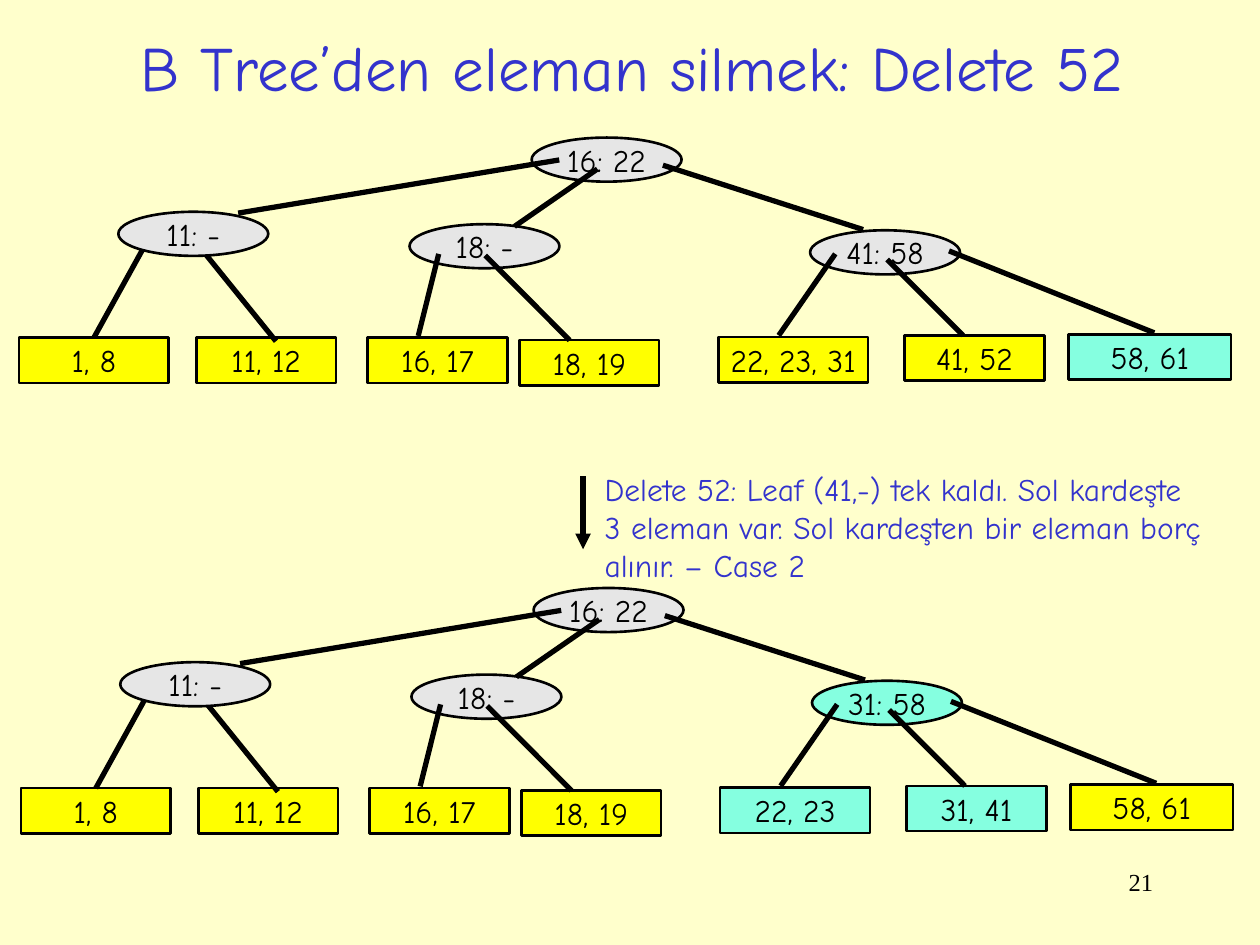
from typing import NamedTuple

import pptx
import pptx.dml.color
import pptx.enum.shapes
import pptx.enum.text
import pptx.oxml
import pptx.oxml.ns
import pptx.util

Pt = pptx.util.Pt
RGBColor = pptx.dml.color.RGBColor
SHAPE = pptx.enum.shapes.MSO_SHAPE
ALIGN = pptx.enum.text.PP_ALIGN
ANCHOR = pptx.enum.text.MSO_ANCHOR
FIT = pptx.enum.text.MSO_AUTO_SIZE

CREAM = RGBColor(0xFF, 0xFF, 0xCC)
BLUE = RGBColor(0x33, 0x33, 0xCC)
BLACK = RGBColor(0, 0, 0)
GRAY = RGBColor(0xE6, 0xE6, 0xE6)
YELLOW = RGBColor(0xFF, 0xFF, 0)
AQUA = RGBColor(0x85, 0xFF, 0xE0)

KEY_FONT = {"name": "Comic Neue", "size": Pt(18), "color": BLACK}
NOTE_FONT = {**KEY_FONT, "color": BLUE}
TITLE_FONT = {**NOTE_FONT, "size": Pt(36)}
PAGE_FONT = {"name": "Times New Roman", "size": Pt(14), "color": BLACK}
KEY_FRAME = {"word_wrap": False, "vertical_anchor": ANCHOR.MIDDLE}
NOTE_FRAME = {"word_wrap": True, "vertical_anchor": ANCHOR.TOP}
TITLE_FRAME = {"word_wrap": True, "vertical_anchor": ANCHOR.MIDDLE, "auto_size": FIT.NONE}


class Node(NamedTuple):
    left: float
    top: float
    width: float
    height: float
    kind: int


class Edge(NamedTuple):
    x1: float
    y1: float
    x2: float
    y2: float


class Tree(NamedTuple):
    dx: float
    dy: float
    keys: list[str]
    aqua: set[str]


INNER = [Node(x, y, 85.7, 25.2, SHAPE.OVAL)
         for x, y in [(303.8, 78.6), (234, 128.1), (462.9, 131.6), (67.6, 121)]]
LEAVES = [Node(x, y, w, 25.9, SHAPE.RECTANGLE) for x, y, w in [
    (10.8, 193, 85.7), (112.2, 193, 79.9), (210, 193, 79.9), (296.8, 194.3, 79.9),
    (410.4, 192.7, 85.7), (516.9, 191.7, 79.9), (610.6, 191, 92.9)]]
FIRST_LEAF_EDGE = Edge(83.5, 139, 53.6, 193)
EDGES = [
    Edge(319.6, 91.4, 136.1, 121.8), Edge(341.4, 96.6, 294, 129.4),
    Edge(378.8, 94.4, 493.2, 131.2), Edge(112.4, 139, 157.7, 195),
    Edge(250.7, 145.1, 239, 192), Edge(277.3, 146, 325.5, 194.4),
    Edge(477.3, 145.1, 445, 191.7), Edge(507, 148.3, 550.3, 191.7),
    Edge(542.3, 143.4, 659.6, 190.2)]
TREES = [
    Tree(0, 0, ["16: 22", "18: -", "41: 58", "11: -", "1, 8", "11, 12", "16, 17",
                "18, 19", "22, 23, 31", "41, 52", "58, 61"], {"58, 61"}),
    Tree(1.1, 257.4, ["16: 22", "18: -", "31: 58", "11: -", "1, 8", "11, 12", "16, 17",
                      "18, 19", "22, 23", "31, 41", "58, 61"],
         {"31: 58", "22, 23", "31, 41"}),
]


def write(holder, words: str, font: dict, frame: dict, align) -> None:
    text = holder.text_frame
    for attribute, value in frame.items():
        setattr(text, attribute, value)
    text.text = words
    for paragraph in text.paragraphs:
        paragraph.alignment = align
        for run in paragraph.runs:
            for attribute in ("name", "size"):
                setattr(run.font, attribute, font[attribute])
            run.font.color.rgb = font["color"]


def draw_node(slide, node: Node, tree: Tree, key: str):
    shape = slide.shapes.add_shape(
        node.kind, Pt(node.left + tree.dx), Pt(node.top + tree.dy),
        Pt(node.width), Pt(node.height))
    shape.shadow.inherit = False
    shape.fill.solid()
    plain = GRAY if node.kind == SHAPE.OVAL else YELLOW
    shape.fill.fore_color.rgb = AQUA if key in tree.aqua else plain
    shape.line.color.rgb = BLACK
    shape.line.width = Pt(1.5)
    write(shape, key, KEY_FONT, KEY_FRAME, ALIGN.CENTER)
    return shape


def draw_edge(slide, edge: Edge, dx: float = 0, dy: float = 0):
    line = slide.shapes.add_connector(
        pptx.enum.shapes.MSO_CONNECTOR.STRAIGHT,
        Pt(edge.x1 + dx), Pt(edge.y1 + dy), Pt(edge.x2 + dx), Pt(edge.y2 + dy))
    line.line.color.rgb = BLACK
    line.line.width = Pt(3)
    properties = line._element.spPr
    properties.append(pptx.oxml.parse_xml(f"<a:effectLst {pptx.oxml.ns.nsdecls('a')}/>"))
    return line


def draw_tree(slide, tree: Tree) -> None:
    placed = list(zip(INNER + LEAVES, tree.keys))
    left_inner = placed.pop(len(INNER) - 1)
    shapes = [draw_node(slide, node, tree, key) for node, key in placed]
    for edge in EDGES:
        draw_edge(slide, edge, tree.dx, tree.dy)
    first_leaf = shapes[len(INNER) - 1]
    draw_edge(slide, FIRST_LEAF_EDGE, tree.dx, tree.dy).end_connect(first_leaf, 0)
    draw_node(slide, left_inner[0], tree, left_inner[1])


def main() -> None:
    deck = pptx.Presentation()
    deck.slide_width, deck.slide_height = Pt(720), Pt(540)
    slide = deck.slides.add_slide(deck.slide_layouts[5])
    slide.background.fill.solid()
    slide.background.fill.fore_color.rgb = CREAM

    title = slide.shapes.title
    bounds = {"left": 51.8, "top": 10.8, "width": 630.7, "height": 54.7}
    for attribute, value in bounds.items():
        setattr(title, attribute, Pt(value))
    write(title, "B Tree’den eleman silmek: Delete 52 ", TITLE_FONT, TITLE_FRAME, ALIGN.CENTER)

    page = slide.shapes.add_textbox(Pt(516.2), Pt(491.8), Pt(149.8), Pt(36))
    write(page, "21", PAGE_FONT, NOTE_FRAME, ALIGN.RIGHT)

    step = draw_edge(slide, Edge(333.2, 272.2, 333.2, 313.9))
    step.line._get_or_add_ln().append(pptx.oxml.parse_xml(
        f"<a:tailEnd {pptx.oxml.ns.nsdecls('a')} type='triangle'/>"))
    note = slide.shapes.add_textbox(Pt(338.4), Pt(265), Pt(365), Pt(72))
    write(note, "Delete 52: Leaf (41,-) tek kaldı. Sol kardeşte\v3 eleman var. "
          "Sol kardeşten bir eleman borç alınır. – Case 2",
          NOTE_FONT, NOTE_FRAME, ALIGN.LEFT)

    for tree in TREES:
        draw_tree(slide, tree)
    deck.save("out.pptx")


if __name__ == "__main__":
    main()
